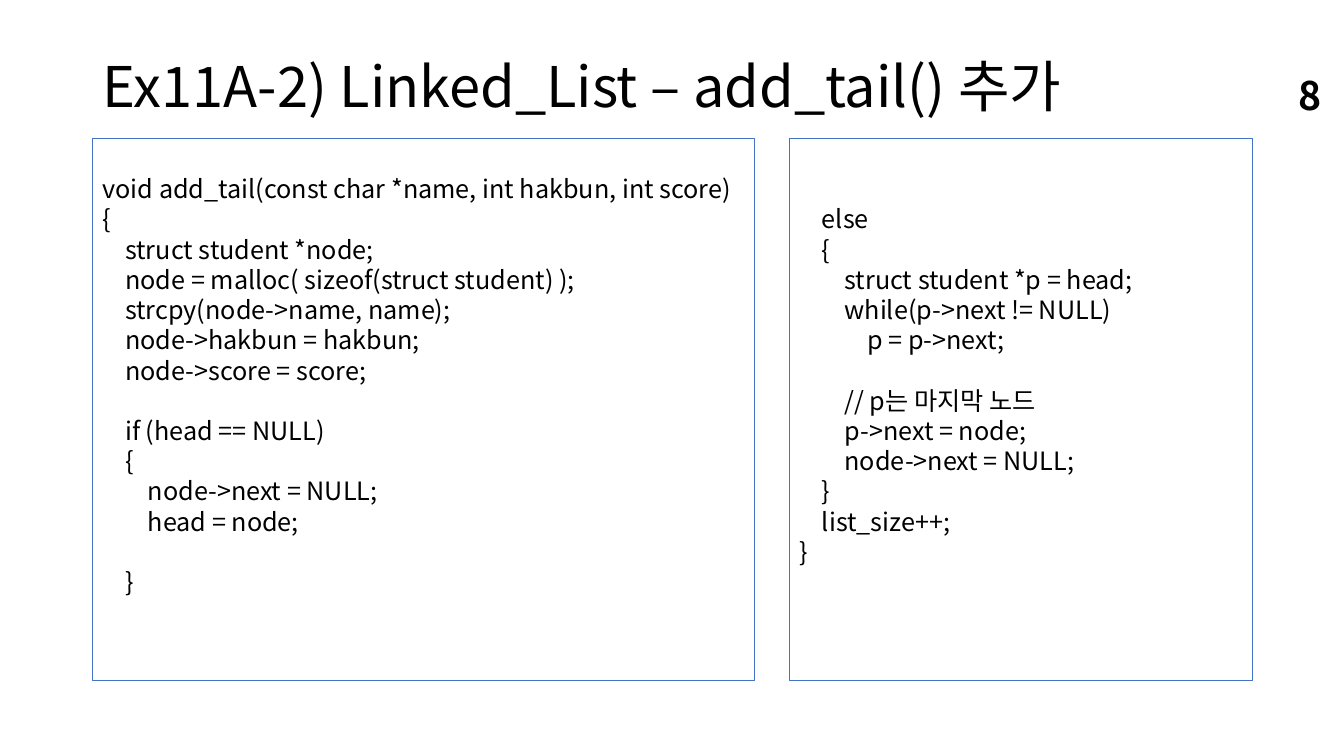
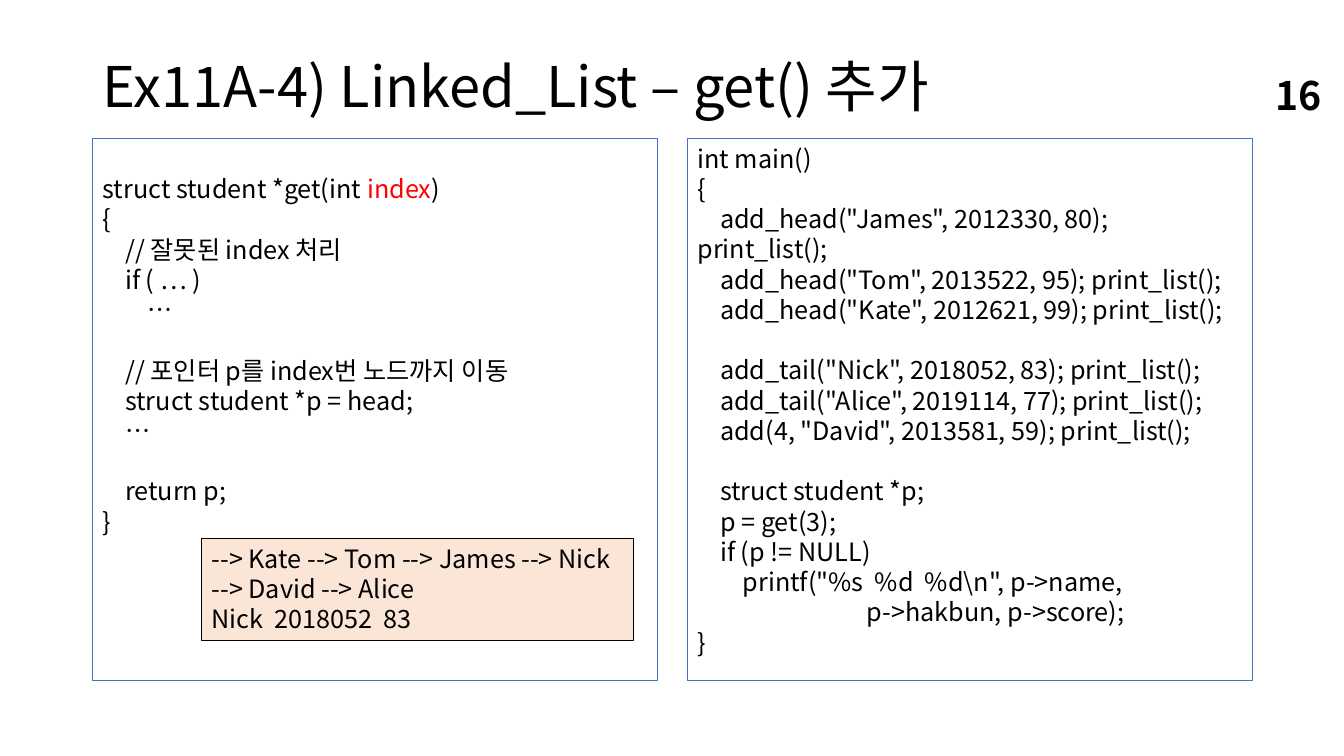
"""Build two slides of linked-list code with framed listings."""
from dataclasses import dataclass

from lxml.etree import SubElement
from pptx import Presentation
from pptx.dml.color import RGBColor as Rgb
from pptx.enum.shapes import MSO_SHAPE as Shape
from pptx.enum.text import MSO_ANCHOR as Anchor, MSO_AUTO_SIZE as AutoSize, PP_ALIGN as Align
from pptx.oxml.ns import qn
from pptx.util import Inches, Pt


@dataclass(frozen=True)
class Theme:
    """Hold the shared colours, type sizes and page grid."""
    font: str = "Noto Sans CJK KR"
    ink: Rgb = Rgb(0x00, 0x00, 0x00)
    accent: Rgb = Rgb(0xFF, 0x00, 0x00)
    frame: Rgb = Rgb(0x44, 0x72, 0xC4)
    output_fill: Rgb = Rgb(0xFB, 0xE5, 0xD6)
    title_size: float = 40
    number_size: float = 28
    code_size: float = 18
    line_pitch: float = 21.6
    rule: float = 0.75
    inset: float = 0.05
    width: float = 13.33
    height: float = 7.5
    margin: float = 0.92
    content: float = 11.5
    title_top: float = 0.4
    body_top: float = 1.37
    body_height: float = 5.38


THEME = Theme()

ADD_TAIL_START = """
void add_tail(const char *name, int hakbun, int score)
{
    struct student *node;
    node = malloc( sizeof(struct student) );
    strcpy(node->name, name);
    node->hakbun = hakbun;
    node->score = score;

    if (head == NULL)
    {
        node->next = NULL;
        head = node;

    }"""

ADD_TAIL_END = """

    else
    {
        struct student *p = head;
        while(p->next != NULL)
            p = p->next;

        // p는 마지막 노드
        p->next = node;
        node->next = NULL;
    }
    list_size++;
}"""

GET = """
struct student *get(int `index`)
{
    // 잘못된 index 처리
    if ( … )
        …

    // 포인터 p를 index번 노드까지 이동
    struct student *p = head;
    …

    return p;
}"""

MAIN = r"""int main()
{
    add_head("James", 2012330, 80); print_list();
    add_head("Tom", 2013522, 95); print_list();
    add_head("Kate", 2012621, 99); print_list();

    add_tail("Nick", 2018052, 83); print_list();
    add_tail("Alice", 2019114, 77); print_list();
    add(4, "David", 2013581, 59); print_list();

    struct student *p;
    p = get(3);
    if (p != NULL)
        printf("%s  %d  %d\n", p->name,
                              p->hakbun, p->score);
}"""

OUTPUT = """--> Kate --> Tom --> James --> Nick --> David --> Alice
Nick  2018052  83"""


def style_run(run, size, color=THEME.ink, bold=False):
    """Apply the theme font to Latin and Korean text alike."""
    run.font.name = THEME.font
    run.font.size = Pt(size)
    run.font.bold = bold
    run.font.color.rgb = color
    SubElement(run.font._element, qn("a:ea")).set("typeface", THEME.font)


def write_code(frame, code):
    """Write code lines, turning blank lines into spacing and backticks into accents."""
    body = code.lstrip("\n")
    lead = len(code) - len(body)
    frame.margin_top = Inches(THEME.inset) + lead * Pt(THEME.line_pitch)
    blanks = 0
    paragraph = frame.paragraphs[0]
    for index, line in enumerate(body.split("\n")):
        if not line:
            blanks += 1
            continue
        if index:
            paragraph = frame.add_paragraph()
        paragraph.alignment = Align.LEFT
        paragraph.line_spacing = Pt(THEME.line_pitch)
        paragraph.space_before = Pt(blanks * THEME.line_pitch)
        blanks = 0
        for part, text in enumerate(line.split("`")):
            run = paragraph.add_run()
            run.text = text
            style_run(run, THEME.code_size, THEME.accent if part % 2 else THEME.ink)


def add_panel(slide, left, top, width, height, code, border=THEME.frame, fill=None):
    """Draw a framed rectangle that holds code or output."""
    panel = slide.shapes.add_shape(Shape.RECTANGLE, *map(Inches, (left, top, width, height)))
    panel.shadow.inherit = False
    if fill is None:
        panel.fill.background()
    else:
        panel.fill.solid()
        panel.fill.fore_color.rgb = fill
    panel.line.color.rgb = border
    panel.line.width = Pt(THEME.rule)
    frame = panel.text_frame
    frame.word_wrap = True
    frame.vertical_anchor = Anchor.TOP
    frame.margin_bottom = Inches(THEME.inset)
    write_code(frame, code)


def add_code_columns(slide, left_code, left_width, right_code, right_width):
    """Set two listings flush with the content edges."""
    right = THEME.margin + THEME.content - right_width
    for left, width, code in ((THEME.margin, left_width, left_code),
                              (right, right_width, right_code)):
        add_panel(slide, left, THEME.body_top, width, THEME.body_height, code)


def write_heading(shape, text, size, align, bold=False):
    """Fill a one-line heading, centred vertically."""
    frame = shape.text_frame
    frame.text = text
    frame.word_wrap = True
    frame.auto_size = AutoSize.NONE
    frame.vertical_anchor = Anchor.MIDDLE
    paragraph = frame.paragraphs[0]
    paragraph.alignment = align
    style_run(paragraph.runs[0], size, bold=bold)
    return paragraph


def add_slide(deck, title, number):
    """Add a slide with its title and page number."""
    slide = deck.slides.add_slide(deck.slide_layouts[5])
    heading = slide.shapes.title
    heading.left, heading.top = Inches(THEME.margin), Inches(THEME.title_top)
    heading.width = Inches(THEME.content)
    heading.height = Inches(THEME.body_top - THEME.title_top)
    write_heading(heading, title, THEME.title_size, Align.LEFT).line_spacing = 0.9
    page = slide.shapes.add_textbox(*map(Inches, (9.97, 0.74, 3.24, 0.4)))
    write_heading(page, str(number), THEME.number_size, Align.RIGHT, bold=True)
    return slide


def main():
    """Build and save the deck."""
    deck = Presentation()
    deck.slide_width, deck.slide_height = Inches(THEME.width), Inches(THEME.height)

    add_tail = add_slide(deck, "Ex11A-2) Linked_List – add_tail() 추가", 8)
    add_code_columns(add_tail, ADD_TAIL_START, 6.56, ADD_TAIL_END, 4.59)

    get = add_slide(deck, "Ex11A-4) Linked_List – get() 추가", 16)
    add_code_columns(get, GET, 5.6, MAIN, 5.6)
    add_panel(get, 2, 5.34, 4.28, 1.01, OUTPUT, THEME.ink, THEME.output_fill)

    deck.save("out.pptx")


if __name__ == "__main__":
    main()
